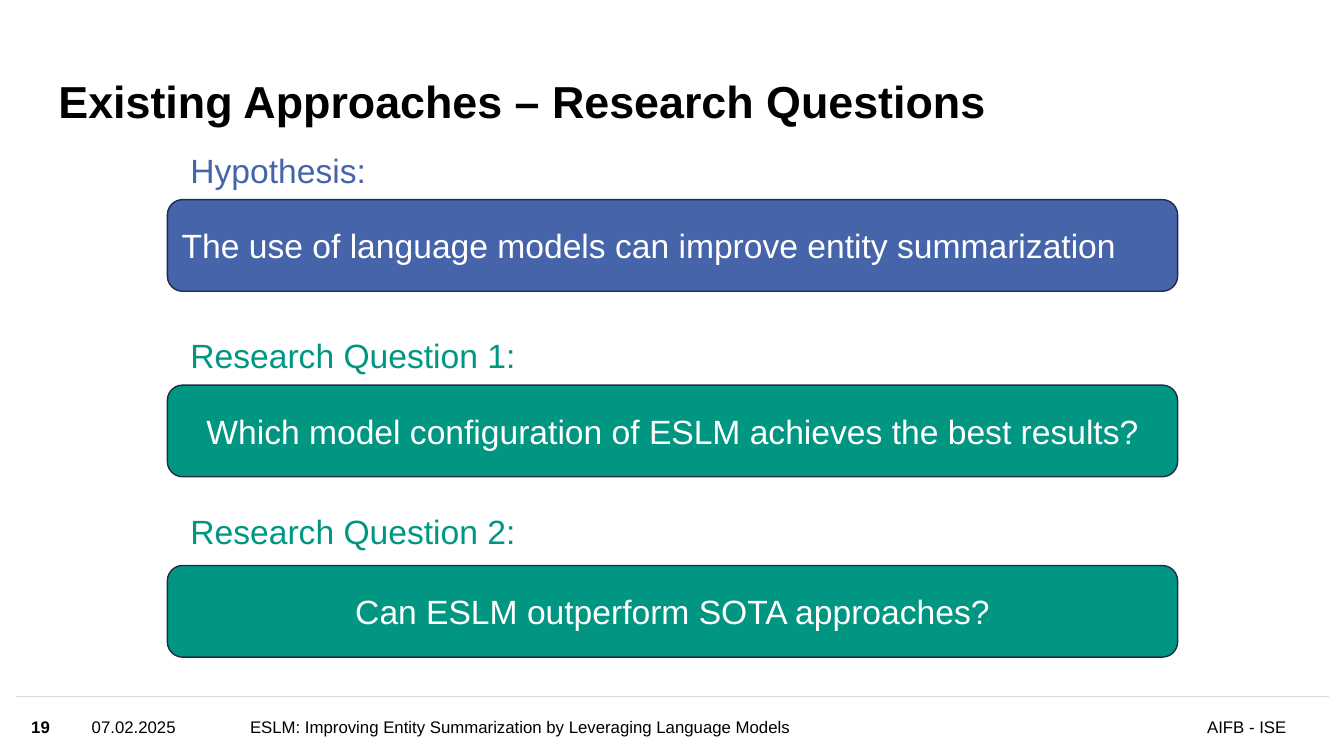
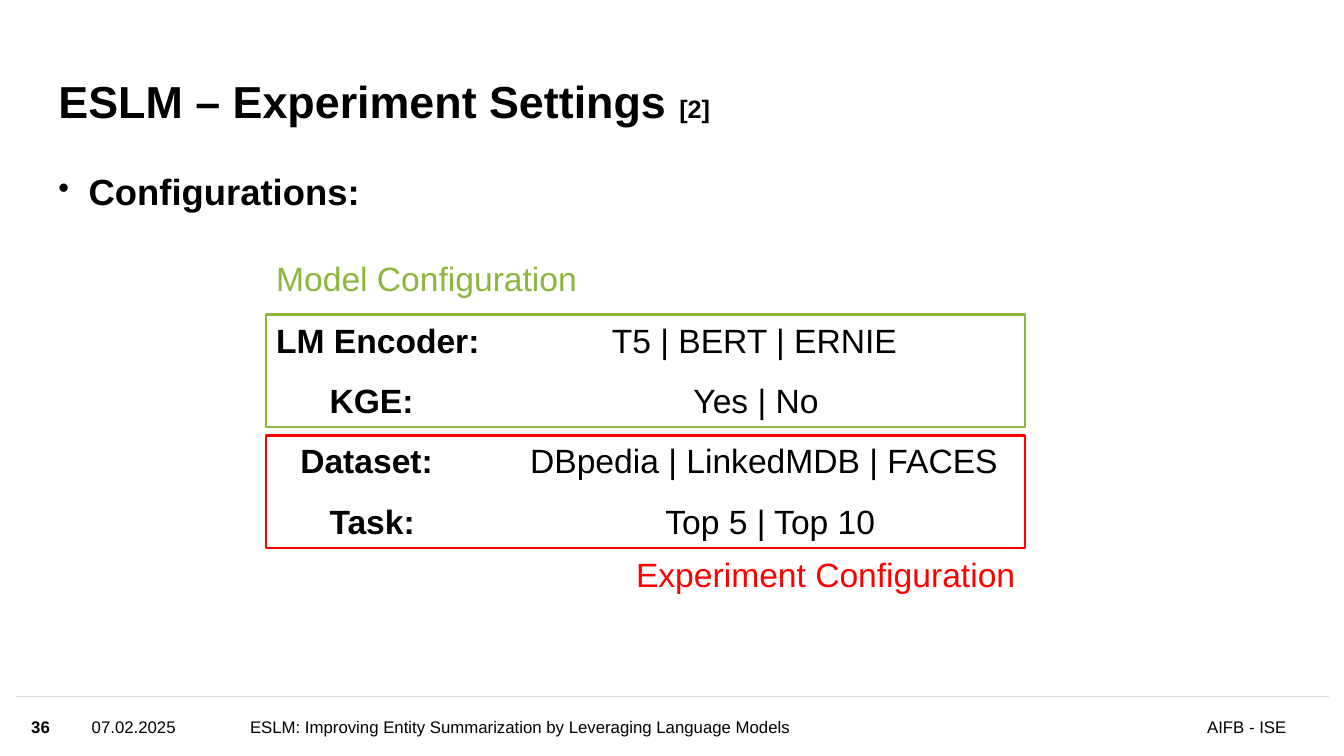
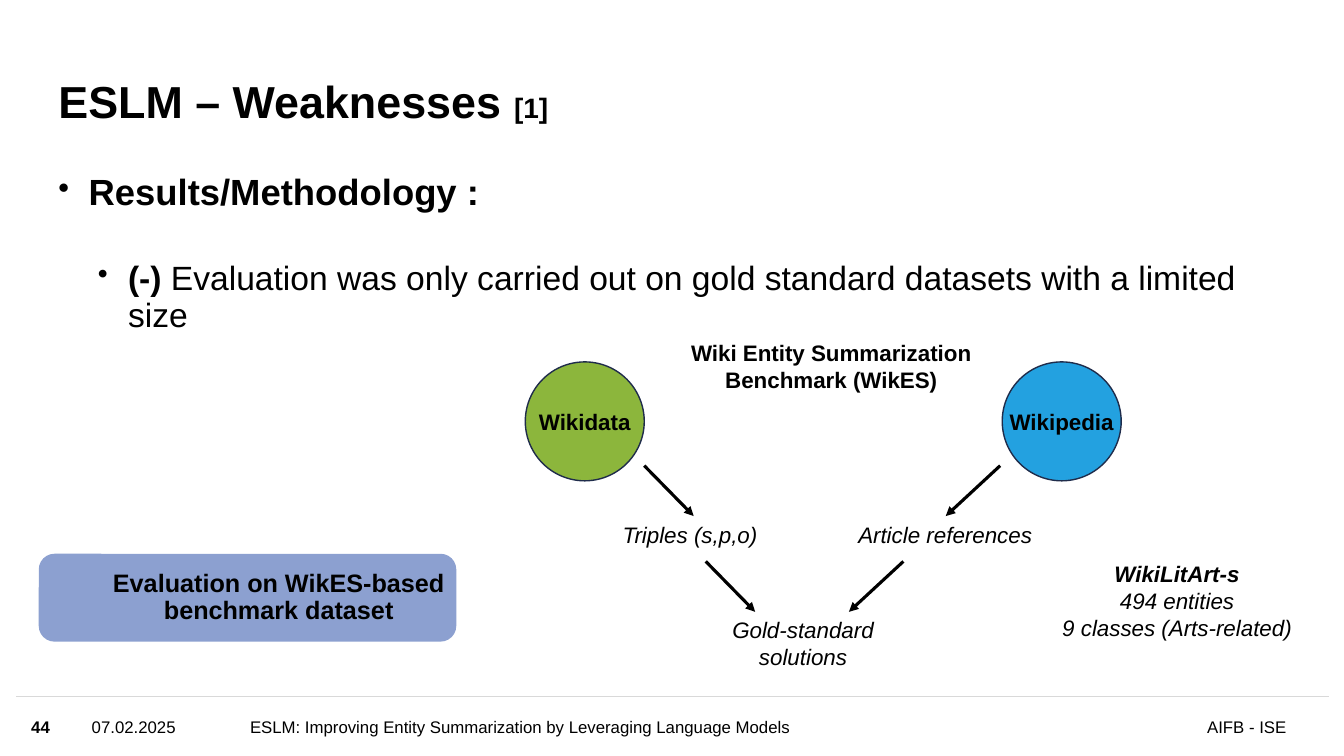
from dataclasses import dataclass, field
from typing import NamedTuple

from lxml import etree
from pptx import Presentation
from pptx.dml.color import RGBColor
from pptx.enum import shapes, text
from pptx.oxml import ns
from pptx.util import Inches, Pt

LEFT, CENTER, RIGHT = text.PP_ALIGN.LEFT, text.PP_ALIGN.CENTER, text.PP_ALIGN.RIGHT
TOP, MIDDLE, BOTTOM = text.MSO_ANCHOR.TOP, text.MSO_ANCHOR.MIDDLE, text.MSO_ANCHOR.BOTTOM
ROUNDED = shapes.MSO_SHAPE.ROUNDED_RECTANGLE
RECTANGLE = shapes.MSO_SHAPE.RECTANGLE
OVAL = shapes.MSO_SHAPE.OVAL


@dataclass(frozen=True)
class Theme:
    font: str = "Arial"
    black: str = "000000"
    white: str = "FFFFFF"
    rule: str = "D9D9D9"
    outline: str = "1F2C4B"
    blue: str = "4664AA"
    pale_blue: str = "8CA0D0"
    sky: str = "23A1E0"
    teal: str = "009682"
    green: str = "8CB63C"
    red: str = "FF0000"
    title: float = 32
    heading: float = 26
    body: float = 24
    callout: float = 18
    label: float = 16
    footer: float = 12


THEME = Theme()


class Box(NamedTuple):
    left: float
    top: float
    width: float
    height: float


class Margins(NamedTuple):
    left: float = 0.1
    top: float = 0.05
    right: float = 0.1
    bottom: float = 0.05


FLUSH = Margins(0, 0, 0, 0)


class Run(NamedTuple):
    text: str
    bold: bool | None = None
    size: float | None = None


@dataclass
class Para:
    runs: list[Run]
    size: float = THEME.body
    color: str = THEME.black
    bold: bool = False
    italic: bool = False
    align: text.PP_ALIGN = LEFT
    line_spacing: float | None = None
    before: float = 0
    bullet_indent: float | None = None  # where the bulleted text starts
    tab: float | None = None


@dataclass
class Look:
    fill: str | None = None
    line: str = THEME.outline
    line_width: float = 1
    margins: Margins = field(default_factory=Margins)
    wrap: bool = True


class QuestionBox(NamedTuple):
    heading: str
    heading_top: float
    statement: str
    box_top: float
    color: str
    align: text.PP_ALIGN


class Setting(NamedTuple):
    name: str
    values: str
    left: float
    tab: float


def rgb(color: str) -> RGBColor:
    return RGBColor.from_string(color)


# Text
def add_bullet_or_tab(paragraph, para: Para) -> None:
    properties = paragraph._p.get_or_add_pPr()
    if para.bullet_indent is not None:
        properties.set("marL", str(Inches(para.bullet_indent)))
        properties.set("indent", str(Inches(-0.3)))
        etree.SubElement(properties, ns.qn("a:buSzPct"), val="88000")
        etree.SubElement(properties, ns.qn("a:buChar"), char="•")
    if para.tab is not None:
        tabs = etree.SubElement(properties, ns.qn("a:tabLst"))
        etree.SubElement(tabs, ns.qn("a:tab"), pos=str(Inches(para.tab)), algn="l")


def write(frame, paras: list[Para], margins: Margins, anchor=TOP, wrap: bool = True) -> None:
    frame.word_wrap = wrap
    frame.vertical_anchor = anchor
    frame.margin_left, frame.margin_top, frame.margin_right, frame.margin_bottom = map(Inches, margins)
    for index, para in enumerate(paras):
        paragraph = frame.add_paragraph() if index else frame.paragraphs[0]
        add_bullet_or_tab(paragraph, para)
        paragraph.alignment = para.align
        if para.line_spacing:
            paragraph.line_spacing = para.line_spacing
        if para.before:
            paragraph.space_before = Pt(para.before)
        font = paragraph.font
        font.name, font.size = THEME.font, Pt(para.size)
        font.bold, font.italic = para.bold, para.italic
        font.color.rgb = rgb(para.color)
        for part in para.runs:
            run = paragraph.add_run()
            run.text = part.text
            if part.bold is not None:
                run.font.bold = part.bold
            if part.size is not None:
                run.font.size = Pt(part.size)


def add_text(slide, box: Box, paras: list[Para], margins: Margins = Margins(), anchor=TOP) -> None:
    shape = slide.shapes.add_textbox(*map(Inches, box))
    write(shape.text_frame, paras, margins, anchor)


# Shapes and lines
def add_shape(slide, kind, box: Box, look: Look, paras: list[Para] | None = None) -> None:
    shape = slide.shapes.add_shape(kind, *map(Inches, box))
    shape.shadow.inherit = False
    if look.fill:
        shape.fill.solid()
        shape.fill.fore_color.rgb = rgb(look.fill)
    else:
        shape.fill.background()
    shape.line.color.rgb = rgb(look.line)
    shape.line.width = Pt(look.line_width)
    if paras:
        write(shape.text_frame, paras, look.margins, MIDDLE, look.wrap)


def add_line(slide, start: tuple[float, float], end: tuple[float, float],
             color: str, width: float, arrow: bool = False) -> None:
    connector = slide.shapes.add_connector(
        shapes.MSO_CONNECTOR.STRAIGHT, *map(Inches, (*start, *end)))
    connector.line.color.rgb = rgb(color)
    connector.line.width = Pt(width)
    if arrow:
        etree.SubElement(connector.line._get_or_add_ln(), ns.qn("a:tailEnd"), type="triangle")
    etree.SubElement(connector._element.spPr, ns.qn("a:effectLst"))


# Frame shared by all slides
def add_slide(presentation, number: int, title: list[Run]):
    slide = presentation.slides.add_slide(presentation.slide_layouts[5])
    placeholder = slide.shapes.title
    placeholder.left, placeholder.top, placeholder.width, placeholder.height = map(
        Inches, Box(0.58, 0.43, 10.02, 0.84))
    write(placeholder.text_frame,
          [Para(title, THEME.title, bold=True, line_spacing=0.9)], FLUSH, BOTTOM)
    placeholder.text_frame.auto_size = text.MSO_AUTO_SIZE.NONE

    add_line(slide, (0.16, 6.91), (13.18, 6.91), THEME.rule, 1)
    footers = [
        (0.31, 0.48, str(number), True, LEFT),
        (0.91, 1.5, "07.02.2025", False, LEFT),
        (2.48, 5.37, "ESLM: Improving Entity Summarization by Leveraging Language Models", False, LEFT),
        (8.03, 4.73, "AIFB - ISE", False, RIGHT),
    ]
    for left, width, words, bold, align in footers:
        add_text(slide, Box(left, 6.92, width, 0.58),
                 [Para([Run(words)], THEME.footer, bold=bold, align=align)], FLUSH, MIDDLE)
    return slide


def heading(words: str) -> Para:
    return Para([Run(words)], THEME.heading, bold=True, line_spacing=0.9, bullet_indent=0.3)


def add_body(slide, paras: list[Para]) -> None:
    add_text(slide, Box(0.58, 1.73, 12.05, 4.91), paras, FLUSH)


# Slides
def add_questions_slide(presentation) -> None:
    slide = add_slide(presentation, 19, [Run("Existing Approaches – Research Questions")])
    questions = [
        QuestionBox("Hypothesis:", 1.44,
                    "The use of language models can improve entity summarization",
                    1.98, THEME.blue, LEFT),
        QuestionBox("Research Question 1:", 3.27,
                    "Which model configuration of ESLM achieves the best results?",
                    3.82, THEME.teal, CENTER),
        QuestionBox("Research Question 2:", 5.02,
                    "Can ESLM outperform SOTA approaches?",
                    5.61, THEME.teal, CENTER),
    ]
    for question in questions:
        add_shape(slide, ROUNDED, Box(1.66, question.box_top, 10.02, 0.91), Look(question.color),
                  [Para([Run(question.statement)], color=THEME.white, align=question.align)])
        add_text(slide, Box(1.79, question.heading_top, 7.73, 0.5),
                 [Para([Run(question.heading)], color=question.color)])


def add_settings_slide(presentation) -> None:
    slide = add_slide(presentation, 36, [Run("ESLM – Experiment Settings "), Run("[2]", size=18)])
    add_body(slide, [heading("Configurations:")])
    settings = [
        Setting("LM Encoder:", "T5 | BERT | ERNIE", 2.64, 3.33),
        Setting("KGE:", "Yes | No", 3.17, 3.61),
        Setting("Dataset:", "DBpedia | LinkedMDB | FACES", 2.88, 2.28),
        Setting("Task:", "Top 5 | Top 10", 3.17, 3.33),
    ]
    for row, setting in enumerate(settings):
        add_text(slide, Box(setting.left, 3.12 + 0.6 * row, 7.83, 0.5),
                 [Para([Run(setting.name + "\t", bold=True), Run(setting.values)], tab=setting.tab)])

    groups = [
        (3.12, "Model Configuration", Box(2.64, 2.51, 3.55, 0.5), THEME.green),
        (4.32, "Experiment Configuration", Box(6.21, 5.45, 4.09, 0.5), THEME.red),
    ]
    for top, caption, caption_box, color in groups:
        add_shape(slide, RECTANGLE, Box(2.64, top, 7.53, 1.12), Look(line=color, line_width=1.5))
        add_text(slide, caption_box, [Para([Run(caption)], color=color)])


def add_weaknesses_slide(presentation) -> None:
    slide = add_slide(presentation, 44, [Run("ESLM – Weaknesses "), Run("[1]", size=20)])
    add_body(slide, [
        heading("Results/Methodology :"),
        Para([Run("(-) ", bold=True),
              Run("Evaluation was only carried out on gold standard datasets with a limited size")],
             line_spacing=0.9, before=34.4, bullet_indent=0.69),
    ])

    # Callout
    add_shape(slide, ROUNDED, Box(0.4, 5.51, 4.11, 0.84),
              Look(THEME.pale_blue, THEME.pale_blue, 2.25, Margins(0.62, 0, 0, 0)),
              [Para([Run("Evaluation on WikES-based benchmark dataset")], THEME.callout,
                    bold=True, align=CENTER, line_spacing=0.9)])

    # Sources
    for left, source, color in [(5.21, "Wikidata", THEME.green), (9.94, "Wikipedia", THEME.sky)]:
        add_shape(slide, OVAL, Box(left, 3.59, 1.18, 1.18),
                  Look(color, margins=FLUSH, wrap=False),
                  [Para([Run(source)], THEME.label, bold=True, align=CENTER)])

    # Flow towards the gold standard
    for top in (4.62, 5.57):
        shift = 0.0 if top < 5 else 1.0
        from_left, from_right = 6.39 + 0.61 * shift, 9.92 - 0.96 * shift
        for start, run_across in [(from_left, 0.49), (from_right, -0.54)]:
            add_line(slide, (start, top), (start + run_across, top + 0.5),
                     THEME.black, 2.25, arrow=True)

    # Labels
    labels = [
        (Box(6.56, 3.32, 3.37, 0.64), "Wiki Entity Summarization Benchmark (WikES)", True),
        (Box(5.91, 5.12, 1.93, 0.37), "Triples (s,p,o) ", False),
        (Box(8.41, 5.12, 1.93, 0.37), "Article references", False),
        (Box(7, 6.06, 1.93, 0.64), "Gold-standard solutions", False),
    ]
    for box, words, bold in labels:
        add_text(slide, box, [Para([Run(words)], THEME.label, bold=bold,
                                   italic=not bold, align=CENTER)])
    facts = ["WikiLitArt-s", "494 entities", "9 classes (Arts-related)"]
    add_text(slide, Box(10.26, 5.51, 2.83, 0.91),
             [Para([Run(fact)], THEME.label, bold=index == 0, italic=True, align=CENTER)
              for index, fact in enumerate(facts)])


def main() -> None:
    presentation = Presentation()
    presentation.slide_width, presentation.slide_height = Inches(13.33), Inches(7.5)
    add_questions_slide(presentation)
    add_settings_slide(presentation)
    add_weaknesses_slide(presentation)
    presentation.save("out.pptx")


if __name__ == "__main__":
    main()
